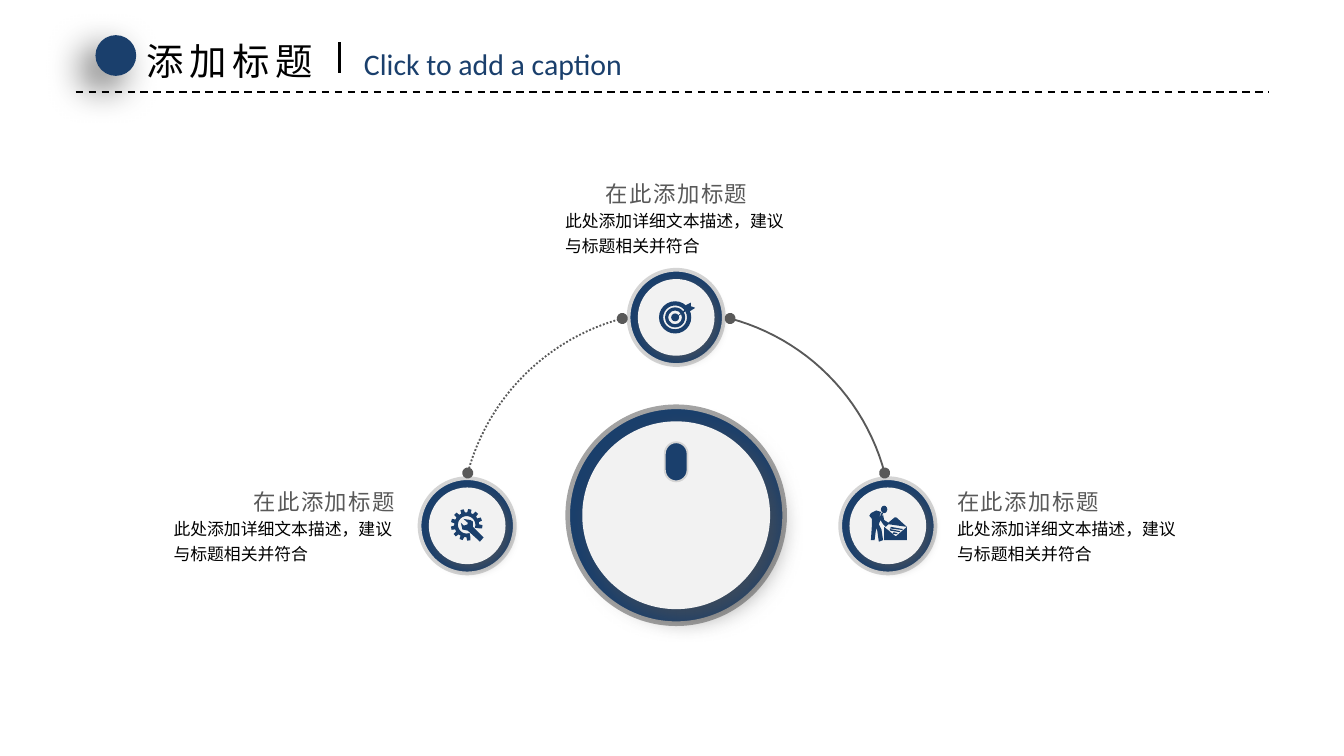
import math

from lxml import etree
from pptx import Presentation
from pptx.dml.color import RGBColor
from pptx.enum.dml import MSO_LINE
from pptx.enum.shapes import MSO_CONNECTOR, MSO_SHAPE
from pptx.enum.text import MSO_ANCHOR, MSO_AUTO_SIZE, PP_ALIGN
from pptx.oxml.ns import qn
from pptx.util import Cm, Pt

NAVY = RGBColor(0x1A, 0x3F, 0x6C)
BLACK = RGBColor(0, 0, 0)
GRAY = RGBColor(0x59, 0x59, 0x59)
SHADE = RGBColor(0x52, 0x52, 0x52)
PALE = RGBColor(0xF2, 0xF2, 0xF2)
RIM = RGBColor(0xA3, 0xA3, 0xA3)
LIGHT_RIM = RGBColor(0xD4, 0xD4, 0xD4)
DASH, DOTS = MSO_LINE.DASH, MSO_LINE.ROUND_DOT
STRAIGHT = MSO_CONNECTOR.STRAIGHT
OVAL, PILL, DONUT = MSO_SHAPE.OVAL, MSO_SHAPE.ROUNDED_RECTANGLE, MSO_SHAPE.DONUT
LEFT, CENTER, RIGHT = PP_ALIGN.LEFT, PP_ALIGN.CENTER, PP_ALIGN.RIGHT
TOP = MSO_ANCHOR.TOP
GROW = MSO_AUTO_SIZE.SHAPE_TO_FIT_TEXT
CJK, LATIN, PLAIN = "Noto Sans CJK SC", "Calibri", "Arial"

HEADING = "在此添加标题"
DETAIL = "此处添加详细文本描述，建议与标题相关并符合"
DART = [(18, -16), (18, -23), (28, -28), (28, -21), (36, -18), (25, -11), (20, -13), (-3, 2)]
WRENCH = [(31, 22), (11, 2), (11, -8), (6, -11), (-7, -13), (1, -6), (1, -3),
          (-4, -1), (-7, -1), (-12, -6), (-9, 7), (1, 9), (21, 27), (24, 30)]
CARRIER = [(-32, -24), (-22, -29), (-12, -26), (-14, -24), (-17, -13), (-12, -24),
           (-9, -24), (-14, -13), (-9, -21), (-7, -11), (1, -6), (13, -16), (16, -16),
           (36, 2), (1, -3), (-4, 2), (-9, -3), (-14, -11), (-17, -3), (-12, 7),
           (-9, 27), (-17, 30), (-20, 9), (-22, 4), (-25, 27), (-32, 27), (-30, -3),
           (-30, -13), (-35, -19)]
ENVELOPE = [(-7, 2), (15, 20), (36, 2), (36, 27), (-7, 27)]
LETTER_LINES = [
    [(6, 2), (28, 6), (28, 8), (4, 5)],
    [(4, 6), (23, 10), (23, 12), (4, 9)],
    [(11, 12), (18, 14), (18, 16), (9, 15)],
]


def polar(radius, degrees):
    angle = math.radians(degrees)
    return radius * math.cos(angle), radius * math.sin(angle)


def gear_points():
    points = []
    for tooth in range(11):
        middle = 82 + 28.5 * tooth
        for radius, turn in ((23.5, -9), (30, -6), (30, 6), (23.5, 9)):
            points.append(polar(radius, middle + turn))
    return points + [polar(16.5, angle) for angle in range(380, 69, -10)]


class Slide:
    def __init__(self, page):
        self.page = page
        self.shapes = page.shapes

    def fill_text(self, box, text, font, size, color, align=LEFT, spacing=0, wrap=True,
                  leading=None):
        frame = box.text_frame
        frame.word_wrap = wrap
        frame.auto_size = GROW
        frame.vertical_anchor = TOP
        para = frame.paragraphs[0]
        para.alignment = align
        if leading:
            para.line_spacing = leading
        span = para.add_run()
        span.text = text
        span.font.name = font
        span.font.size = Pt(size)
        span.font.color.rgb = color
        props = span.font._element
        if spacing:
            props.set("spc", str(round(spacing * 100)))
        if font == CJK:
            etree.SubElement(props, qn("a:ea")).set("typeface", font)

    def title(self, text, left, top, width, height):
        box = self.shapes.title
        box.left, box.top, box.width, box.height = Cm(left), Cm(top), Cm(width), Cm(height)
        self.fill_text(box, text, CJK, 20, BLACK, spacing=3, wrap=False)

    def text(self, text, left, top, width, height, *style, **options):
        box = self.shapes.add_textbox(Cm(left), Cm(top), Cm(width), Cm(height))
        self.fill_text(box, text, *style, **options)

    def rule(self, x1, y1, x2, y2, weight, dash=None):
        line = self.shapes.add_connector(STRAIGHT, Cm(x1), Cm(y1), Cm(x2), Cm(y2))
        line.line.color.rgb = BLACK
        line.line.width = Pt(weight)
        if dash:
            line.line.dash_style = dash
        etree.SubElement(line._element.spPr, qn("a:effectLst"))

    def paint(self, shape, fill, rim=None, weight=1):
        shape.shadow.inherit = False
        if fill is None:
            shape.fill.background()
        else:
            shape.fill.solid()
            shape.fill.fore_color.rgb = fill
        if rim is None:
            shape.line.fill.background()
        else:
            shape.line.color.rgb = rim
            shape.line.width = Pt(weight)

    def preset(self, kind, x, y, width, height, fill, rim=None, weight=1, adjust=None):
        shape = self.shapes.add_shape(
            kind, Cm(x - width / 2), Cm(y - height / 2), Cm(width), Cm(height))
        if adjust is not None:
            shape.adjustments[0] = adjust
        self.paint(shape, fill, rim, weight)
        return shape

    def shade(self, shape, color, alpha, blur, distance, angle):
        effects = shape._element.spPr.find(qn("a:effectLst"))
        shadow = etree.SubElement(effects, qn("a:outerShdw"))
        shadow.set("blurRad", str(Pt(blur)))
        shadow.set("dist", str(Pt(distance)))
        shadow.set("dir", str(angle * 60000))
        shadow.set("rotWithShape", "0")
        tint = etree.SubElement(shadow, qn("a:srgbClr"))
        tint.set("val", str(color))
        etree.SubElement(tint, qn("a:alpha")).set("val", str(alpha * 1000))

    def outline(self, points, x, y, fill, closed=True, rim=None):
        fine = [(px * 10, py * 10) for px, py in points]
        builder = self.shapes.build_freeform(*fine[0], scale=Cm(0.001))
        builder.add_line_segments(fine[1:], close=closed)
        shape = builder.convert_to_shape(Cm(x), Cm(y))
        self.paint(shape, fill, rim)
        return shape

    def arc(self, x, y, radius, start, end, dash=None):
        steps = 24
        points = [polar(radius * 100, start + (end - start) * step / steps)
                  for step in range(steps + 1)]
        shape = self.outline(points, x, y, None, closed=False, rim=GRAY)
        if dash:
            shape.line.dash_style = dash
        line = shape._element.spPr.get_or_add_ln()
        for end_tag in ("a:headEnd", "a:tailEnd"):
            etree.SubElement(line, qn(end_tag)).set("type", "oval")

    def node(self, x, y):
        self.preset(PILL, x, y, 1.8, 1.8, NAVY, LIGHT_RIM, 2, adjust=0.5)
        disc = self.preset(PILL, x, y, 1.45, 1.45, PALE, adjust=0.5)
        self.shade(disc, GRAY, 64, 6, 3, 45)

    def caption(self, heading_left, detail_left, top, align):
        self.text(DETAIL, detail_left, top + 0.47, 4.7, 1.17, PLAIN, 9, BLACK, leading=1.25)
        self.text(HEADING, heading_left, top, 4.9, 0.76, PLAIN, 12, GRAY,
                  align=align, spacing=0.8)

    def target_icon(self, x, y):
        for diameter, band in ((0.61, 0.08), (0.38, 0.06)):
            self.preset(DONUT, x - 0.02, y, diameter, diameter, NAVY, adjust=band / diameter)
        self.preset(OVAL, x - 0.02, y, 0.15, 0.15, NAVY)
        self.outline(DART, x, y, NAVY)

    def gear_icon(self, x, y):
        self.outline(gear_points(), x - 0.01, y - 0.02, NAVY)
        self.outline(WRENCH, x, y, NAVY)

    def mail_icon(self, x, y):
        self.preset(OVAL, x - 0.07, y - 0.31, 0.12, 0.14, NAVY)
        for points in (CARRIER, ENVELOPE, *LETTER_LINES):
            self.outline(points, x, y, NAVY)


def main():
    deck = Presentation()
    deck.slide_width, deck.slide_height = Cm(25.4), Cm(14.29)
    slide = Slide(deck.slides.add_slide(deck.slide_layouts[5]))

    slide.rule(1.43, 1.74, 23.98, 1.74, 1, DASH)
    dot = slide.preset(OVAL, 2.19, 1.05, 0.77, 0.77, NAVY)
    slide.shade(dot, BLACK, 60, 20, 10, 135)
    slide.title("添加标题", 2.52, 0.59, 3.78, 1.11)
    slide.text("Click to add a caption", 6.63, 0.74, 5.72, 0.94, LATIN, 16, NAVY, wrap=False)
    slide.rule(6.41, 0.8, 6.41, 1.38, 1.5)

    middle = 12.78
    slide.preset(OVAL, middle, 9.74, 4.1, 4.1, NAVY, RIM, 2.5)
    dial = slide.preset(OVAL, middle, 9.74, 3.55, 3.55, PALE)
    slide.shade(dial, SHADE, 64, 13, 7, 45)
    slide.preset(PILL, middle, 8.73, 0.43, 0.74, NAVY, LIGHT_RIM, 1, adjust=0.5)

    nodes = (
        (8.83, 9.94, slide.gear_icon),
        (16.78, 9.94, slide.mail_icon),
        (middle, 6.0, slide.target_icon),
    )
    for x, y, icon in nodes:
        slide.node(x, y)
        icon(x, y)

    slide.arc(12.83, 10.01, 4.13, 195, 255, DOTS)
    slide.arc(12.73, 10.01, 4.13, 345, 285)

    slide.caption(10.34, 10.43, 3.29, CENTER)
    slide.caption(17.84, 17.84, 9.11, LEFT)
    slide.caption(2.82, 3.03, 9.11, RIGHT)

    deck.save("out.pptx")


if __name__ == "__main__":
    main()
